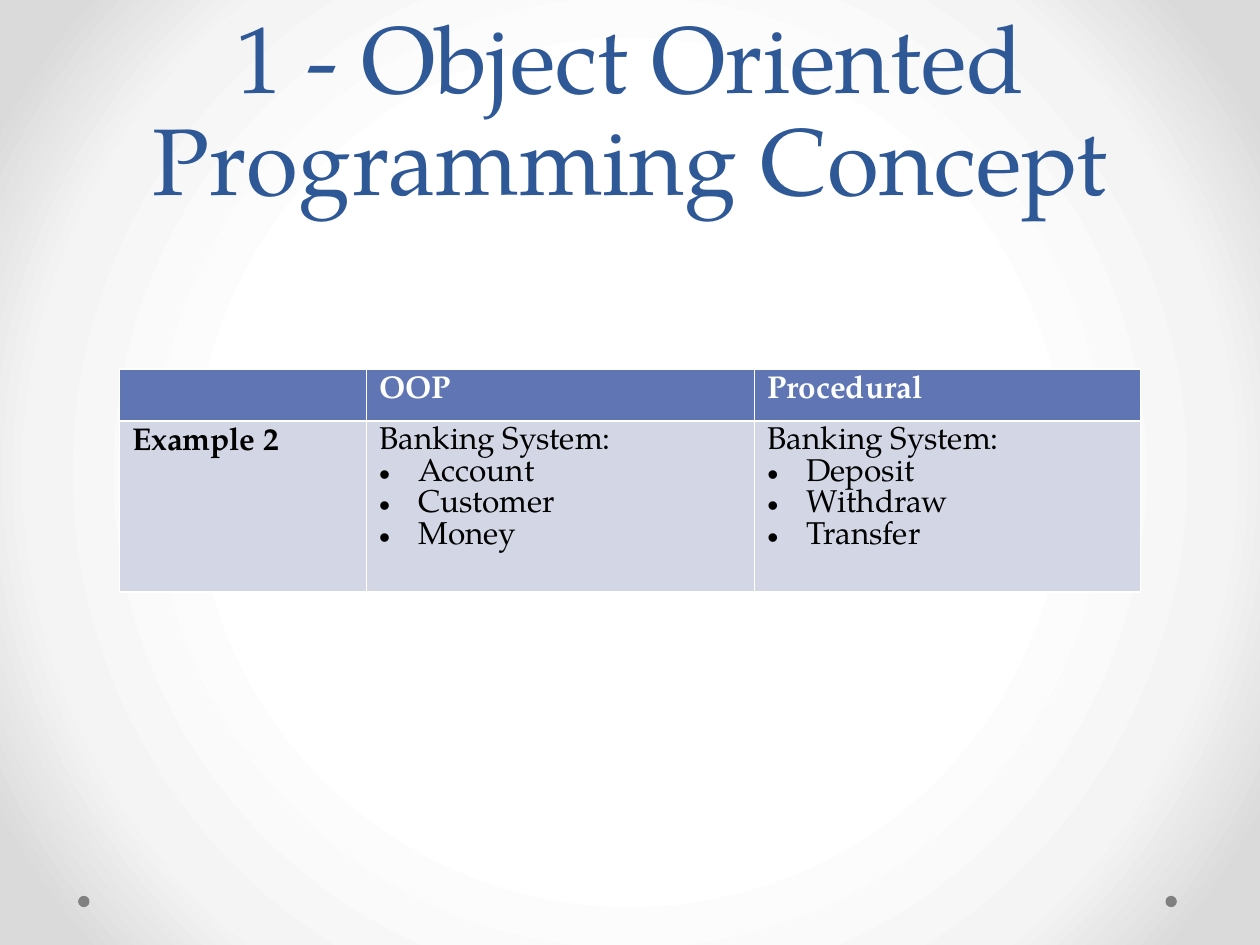
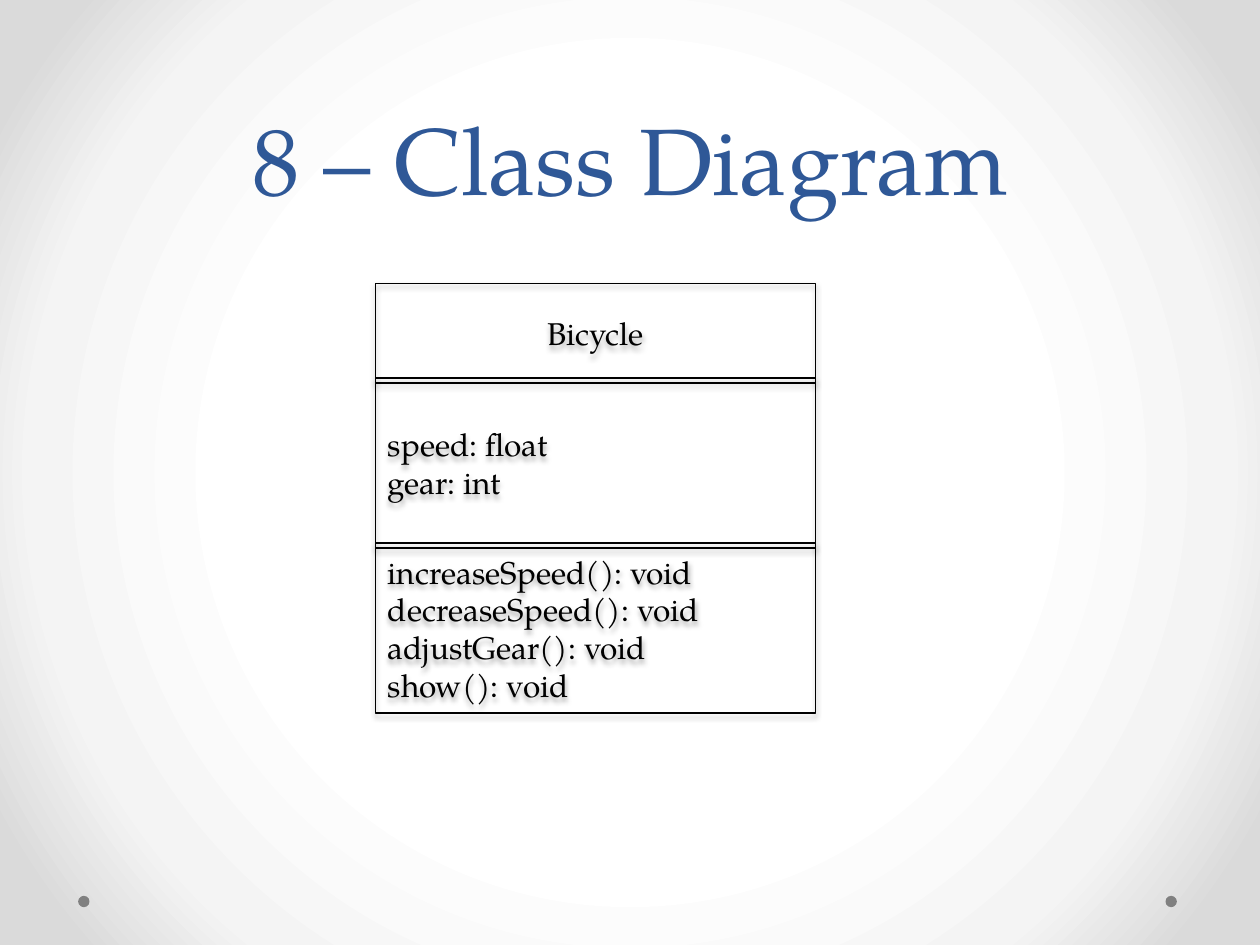
import collections

import lxml.etree
import pptx
import pptx.dml.color
import pptx.enum.shapes
import pptx.enum.text
import pptx.oxml
import pptx.oxml.ns
import pptx.util

RGBColor = pptx.dml.color.RGBColor
Align = pptx.enum.text.PP_ALIGN
Anchor = pptx.enum.text.MSO_ANCHOR
Preset = pptx.enum.shapes.MSO_SHAPE
qn = pptx.oxml.ns.qn

FONT = "TeX Gyre Pagella"
TITLE_BLUE = RGBColor(0x2F, 0x58, 0x97)
HEADER_BLUE = RGBColor(0x60, 0x76, 0xB4)
BODY_BLUE = RGBColor(0xD2, 0xD6, 0xE5)
DOT_GREY = RGBColor(0x80, 0x80, 0x80)
MIST = RGBColor(0xF4, 0xF4, 0xF4)
EDGE_GREY = RGBColor(0xDA, 0xDA, 0xDA)
WHITE = RGBColor(0xFF, 0xFF, 0xFF)
BLACK = RGBColor(0, 0, 0)
BACKGROUND_STOPS = [(50, WHITE), (76, MIST), (92, EDGE_GREY)]

# The slide is a grid of 100 columns by 75 rows
COLUMNS, ROWS = 100, 75
UNIT = pptx.util.Inches(0.1)
NAMESPACE = f'xmlns:a="{pptx.oxml.ns.nsdecls("a").split(chr(34))[1]}"'

Box = collections.namedtuple("Box", "left top width height")
TITLE_BOX = Box(5, 0, 90, 17.5)
TABLE_BOX = Box(9.5, 29.3, 81, 17.7)
CLASS_BOX = Box(29.8, 22.5, 34.9, 34.1)


def grid(value):
    return round(value * UNIT)


def place(box):
    return [grid(value) for value in box]


def xml(text):
    return pptx.oxml.parse_xml(text)


def write(frame, lines, size, color, align=Align.LEFT, bold=False, spacing=None):
    """Fill a text frame with one paragraph per line."""
    frame.word_wrap = True
    for index, line in enumerate(lines):
        para = frame.paragraphs[0] if index == 0 else frame.add_paragraph()
        para.text = line
        para.alignment = align
        if spacing:
            para.line_spacing = pptx.util.Pt(spacing)
        para.font.name = FONT
        para.font.size = pptx.util.Pt(size)
        para.font.bold = bold
        para.font.color.rgb = color


def add_bullet(para):
    props = para._p.get_or_add_pPr()
    indent = pptx.util.Inches(0.31)
    props.set("marL", str(indent))
    props.set("indent", str(-indent))
    font = xml(f'<a:buFont {NAMESPACE} typeface="Arial"/>')
    mark = xml(f'<a:buChar {NAMESPACE} char="•"/>')
    following = props.find(qn("a:defRPr"))
    for element in (font, mark):
        if following is None:
            props.append(element)
        else:
            following.addprevious(element)


def paint_background(page):
    fill = page.background.fill
    fill.gradient()
    gradient = page.background._cSld.find(".//" + qn("a:gradFill"))
    stops = "".join(
        f'<a:gs pos="{share * 1000}"><a:srgbClr val="{color}"/></a:gs>'
        for share, color in BACKGROUND_STOPS)
    sides = " ".join(f'{side}="50000"' for side in "ltrb")
    gradient.getparent().replace(gradient, xml(
        f'<a:gradFill {NAMESPACE} rotWithShape="1"><a:gsLst>{stops}</a:gsLst>'
        f'<a:path path="circle"><a:fillToRect {sides}/></a:path></a:gradFill>'))


def add_page(deck, title):
    """Start a page with the shared background, dots and title."""
    page = deck.slides.add_slide(deck.slide_layouts[6])
    paint_background(page)
    for left in (92.5, 6.2):
        dot = page.shapes.add_shape(Preset.OVAL, *place(Box(left, 71.1, 0.9, 0.9)))
        dot.shadow.inherit = False
        dot.fill.solid()
        dot.fill.fore_color.rgb = DOT_GREY
        dot.line.fill.background()
    frame = page.shapes.add_textbox(*place(TITLE_BOX)).text_frame
    frame.vertical_anchor = Anchor.BOTTOM
    write(frame, [title], 54, TITLE_BLUE, Align.CENTER, spacing=58)
    return page


def outline_cell(cell):
    props = cell._tc.get_or_add_tcPr()
    for index, side in enumerate(("lnL", "lnR", "lnT", "lnB")):
        props.insert(index, xml(
            f'<a:{side} {NAMESPACE} w="{pptx.util.Pt(1)}"><a:solidFill>'
            f'<a:srgbClr val="{WHITE}"/></a:solidFill></a:{side}>'))


def add_comparison(page, box, rows):
    """Table with a header row; lines after a cell's first are bulleted."""
    table = page.shapes.add_table(len(rows), len(rows[0]), *place(box)).table
    for column, width in zip(table.columns, (19.6, 30.8, 30.6)):
        column.width = grid(width)
    header_height = 4.1
    for row, height in zip(table.rows, (header_height, box.height - header_height)):
        row.height = grid(height)
    for row_index, row in enumerate(rows):
        header = row_index == 0
        for column_index, lines in enumerate(row):
            cell = table.cell(row_index, column_index)
            cell.fill.solid()
            cell.fill.fore_color.rgb = HEADER_BLUE if header else BODY_BLUE
            outline_cell(cell)
            write(cell.text_frame, lines, 18, WHITE if header else BLACK,
                  bold=header or column_index == 0, spacing=18)
            for para in cell.text_frame.paragraphs[1:]:
                add_bullet(para)


def add_shadow(shape):
    shape.shadow.inherit = False
    effects = shape._element.spPr.find(qn("a:effectLst"))
    effects.append(xml(
        f'<a:outerShdw {NAMESPACE} blurRad="{pptx.util.Pt(3.1)}" '
        f'dist="{pptx.util.Pt(1.8)}" dir="5400000" rotWithShape="0">'
        f'<a:srgbClr val="{BLACK}"><a:alpha val="35000"/></a:srgbClr></a:outerShdw>'))


def add_class(page, box, compartments):
    """Class diagram of slightly overlapping compartments."""
    for top, height, align, lines in compartments:
        part = page.shapes.add_shape(
            Preset.RECTANGLE, *place(Box(box.left, box.top + top, box.width, height)))
        part.fill.background()
        part.line.color.rgb = BLACK
        part.line.width = pptx.util.Pt(0.75)
        add_shadow(part)
        part.text_frame.vertical_anchor = Anchor.MIDDLE
        write(part.text_frame, lines, 18, BLACK, align)


def main():
    deck = pptx.Presentation()
    deck.slide_width, deck.slide_height = grid(COLUMNS), grid(ROWS)

    # Comparison of the two styles
    page = add_page(deck, "1 - Object Oriented Programming Concept")
    add_comparison(page, TABLE_BOX, [
        [[], ["OOP"], ["Procedural"]],
        [["Example 2"],
         ["Banking System:", "Account", "Customer", "Money"],
         ["Banking System:", "Deposit", "Withdraw", "Transfer"]],
    ])

    # Class with its name, fields and methods
    page = add_page(deck, "8 – Class Diagram")
    add_class(page, CLASS_BOX, [
        (0, 7.9, Align.CENTER, ["Bicycle"]),
        (7.5, 13.5, Align.LEFT, ["speed: float", "gear: int"]),
        (20.6, 13.5, Align.LEFT, ["increaseSpeed(): void", "decreaseSpeed(): void",
                                  "adjustGear(): void", "show(): void"]),
    ])
    deck.save("out.pptx")


if __name__ == "__main__":
    main()
